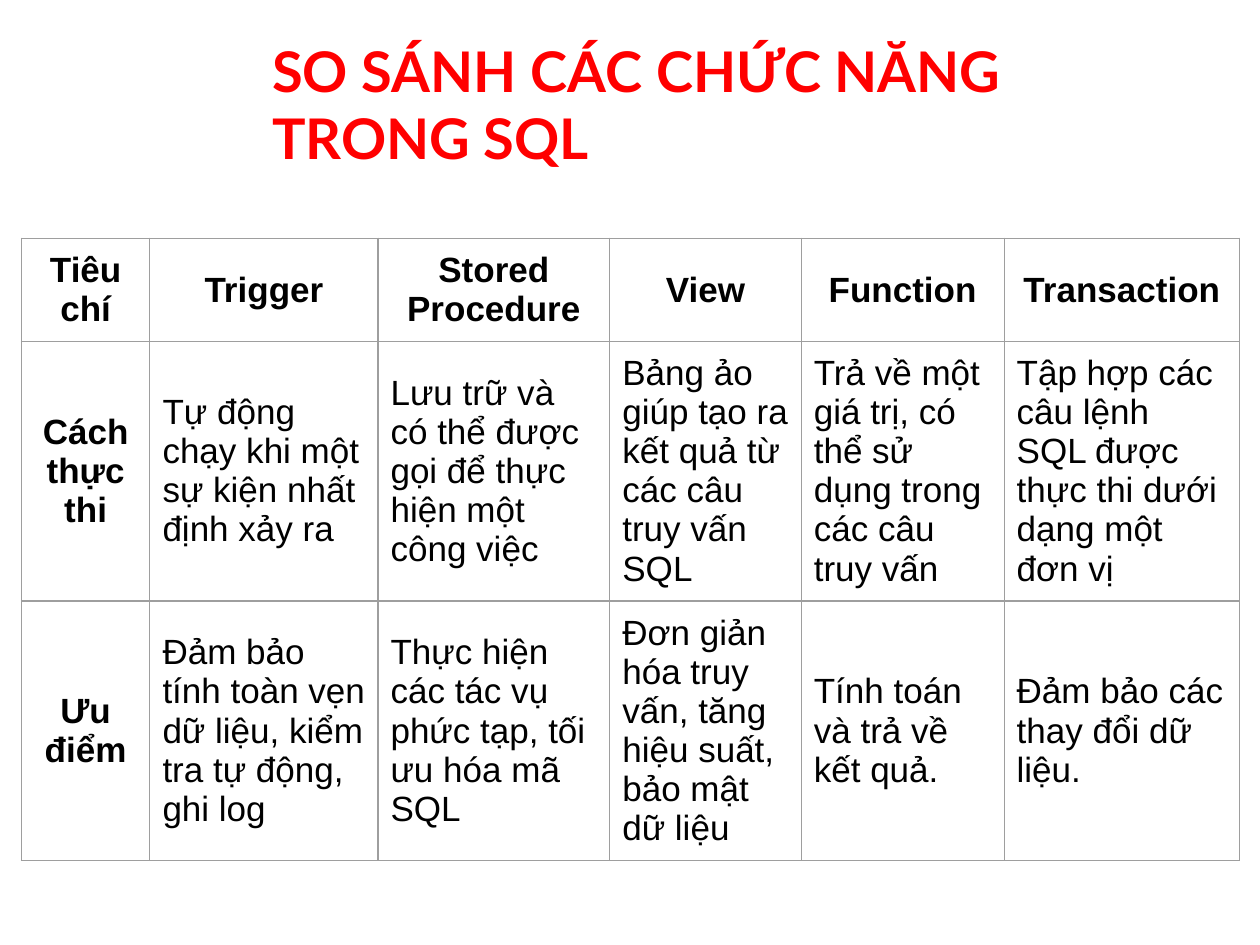
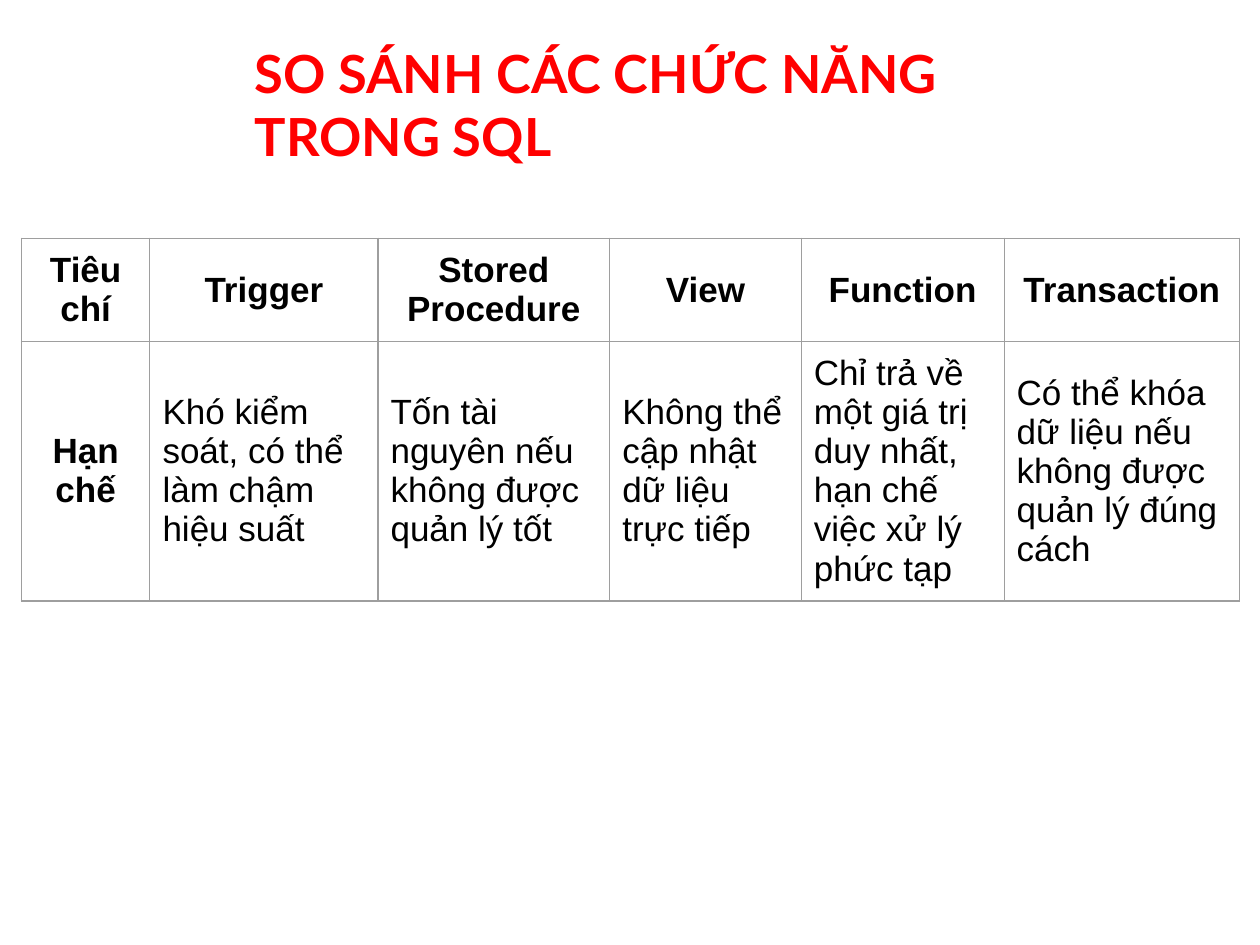
from dataclasses import dataclass

from pptx import Presentation
from pptx.dml.color import RGBColor
from pptx.enum.text import MSO_ANCHOR as Anchor, MSO_AUTO_SIZE as AutoSize, PP_ALIGN as Align
from pptx.oxml import parse_xml
from pptx.oxml.ns import nsdecls
from pptx.util import Inches, Pt

HEADINGS = ["Tiêu chí", "Trigger", "Stored Procedure", "View", "Function", "Transaction"]

SLIDES = [
    {
        "title": "SO SÁNH CÁC CHỨC NĂNG \vTRONG SQL",
        "title_left": 2.06,
        "title_width": 7.6,
        "title_size": 32,
        "criteria": [
            ["Cách thực thi",
             "Tự động chạy khi một sự kiện nhất định xảy ra",
             "Lưu trữ và có thể được gọi để thực hiện một công việc",
             "Bảng ảo giúp tạo ra kết quả từ các câu truy vấn SQL",
             "Trả về một giá trị, có thể sử dụng trong các câu truy vấn",
             "Tập hợp các câu lệnh SQL được thực thi dưới dạng một đơn vị"],
            ["Ưu điểm",
             "Đảm bảo tính toàn vẹn dữ liệu, kiểm tra tự động, ghi log",
             "Thực hiện các tác vụ phức tạp, tối ưu hóa mã SQL",
             "Đơn giản hóa truy vấn, tăng hiệu suất, bảo mật dữ liệu",
             "Tính toán và trả về kết quả.",
             "Đảm bảo các thay đổi dữ liệu."],
        ],
    },
    {
        "title": "SO SÁNH CÁC CHỨC NĂNG\vTRONG SQL",
        "title_left": 1.92,
        "title_width": 7.75,
        "title_size": 30,
        "criteria": [
            ["Hạn chế",
             "Khó kiểm soát, có thể làm chậm hiệu suất",
             "Tốn tài nguyên nếu không được quản lý tốt",
             "Không thể cập nhật dữ liệu trực tiếp",
             "Chỉ trả về một giá trị duy nhất, hạn chế việc xử lý phức tạp",
             "Có thể khóa dữ liệu nếu không được quản lý đúng cách"],
        ],
    },
]

TITLE_TOP, TITLE_HEIGHT = 0.31, 1.03
TABLE_LEFT, TABLE_TOP = 0.17, 1.89
COLUMN_WIDTHS = [1.02, 1.81, 1.84, 1.52, 1.61, 1.87]
HEADING_HEIGHT, CRITERION_HEIGHT = 0.81, 2.06
CELL_MARGIN = 0.1


@dataclass(frozen=True)
class Theme:
    title_font: str = "Lato"
    title_color: str = "FF0000"
    table_font: str = "Arial"
    table_size: int = 20
    table_color: str = "000000"
    border_color: str = "9E9E9E"
    border_width: float = 0.75


THEME = Theme()


def style_font(font, name, size, color, bold):
    font.name = name
    font.size = Pt(size)
    font.bold = bold
    font.color.rgb = RGBColor.from_string(color)


def add_title(page, content):
    title = page.shapes.title
    title.left, title.top = Inches(content["title_left"]), Inches(TITLE_TOP)
    title.width, title.height = Inches(content["title_width"]), Inches(TITLE_HEIGHT)
    frame = title.text_frame
    frame.text = content["title"]
    frame.auto_size = AutoSize.NONE
    frame.vertical_anchor = Anchor.MIDDLE
    para = frame.paragraphs[0]
    para.alignment = Align.LEFT
    for span in para.runs:
        style_font(span.font, THEME.title_font, content["title_size"], THEME.title_color, True)


def add_borders(cell):
    properties = cell._tc.get_or_add_tcPr()
    for side in ("lnL", "lnR", "lnT", "lnB"):
        properties.append(parse_xml(
            f'<a:{side} {nsdecls("a")} w="{Pt(THEME.border_width)}"><a:solidFill>'
            f'<a:srgbClr val="{THEME.border_color}"/></a:solidFill></a:{side}>'))


def fill_cell(cell, text, is_label):
    cell.text = text
    cell.vertical_anchor = Anchor.MIDDLE
    cell.margin_left = cell.margin_right = Inches(CELL_MARGIN)
    cell.margin_top = cell.margin_bottom = Inches(CELL_MARGIN)
    add_borders(cell)
    cell.fill.background()
    para = cell.text_frame.paragraphs[0]
    para.alignment = Align.CENTER if is_label else Align.LEFT
    for span in para.runs:
        style_font(span.font, THEME.table_font, THEME.table_size, THEME.table_color, is_label)


def add_comparison(page, criteria):
    rows = [HEADINGS] + criteria
    heights = [HEADING_HEIGHT] + [CRITERION_HEIGHT] * len(criteria)
    table = page.shapes.add_table(
        len(rows), len(HEADINGS), Inches(TABLE_LEFT), Inches(TABLE_TOP),
        Inches(sum(COLUMN_WIDTHS)), Inches(sum(heights))).table
    table.first_row = table.horz_banding = False
    for column, width in zip(table.columns, COLUMN_WIDTHS):
        column.width = Inches(width)
    for row_index, (texts, height) in enumerate(zip(rows, heights)):
        table.rows[row_index].height = Inches(height)
        for column_index, text in enumerate(texts):
            is_label = row_index == 0 or column_index == 0
            fill_cell(table.cell(row_index, column_index), text, is_label)


def main():
    deck = Presentation()
    deck.slide_width, deck.slide_height = Inches(10), Inches(7.5)
    title_only = deck.slide_layouts.get_by_name("Title Only")
    for content in SLIDES:
        page = deck.slides.add_slide(title_only)
        add_title(page, content)
        add_comparison(page, content["criteria"])
    deck.save("out.pptx")


if __name__ == "__main__":
    main()
